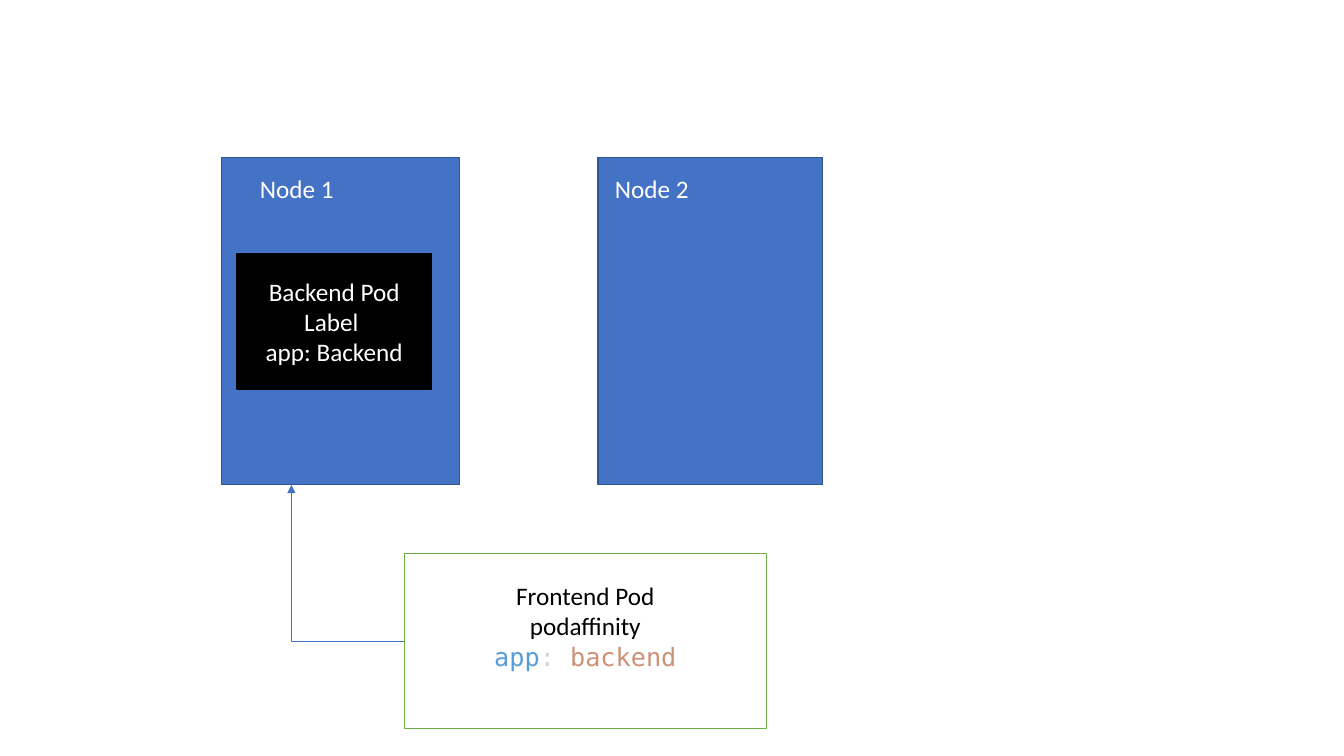
"""Builds a slide showing pod affinity between two cluster nodes."""
from lxml import etree
from pptx import Presentation
from pptx.dml.color import RGBColor
from pptx.enum.shapes import MSO_CONNECTOR, MSO_SHAPE
from pptx.enum.text import MSO_ANCHOR, PP_ALIGN
from pptx.oxml.ns import qn
from pptx.util import Inches, Pt

RECTANGLE = MSO_SHAPE.RECTANGLE
ELBOW = MSO_CONNECTOR.ELBOW
MIDDLE = MSO_ANCHOR.MIDDLE
CENTER = PP_ALIGN.CENTER
LEFT = PP_ALIGN.LEFT

WHITE = RGBColor(0xFF, 0xFF, 0xFF)
BLACK = RGBColor(0x00, 0x00, 0x00)
BLUE = RGBColor(0x44, 0x72, 0xC4)
DARK_BLUE = RGBColor(0x32, 0x54, 0x91)
GREEN = RGBColor(0x70, 0xAD, 0x47)
KEY_BLUE = RGBColor(0x56, 0x9C, 0xD6)
COLON_GRAY = RGBColor(0xD4, 0xD4, 0xD4)
VALUE_ORANGE = RGBColor(0xCE, 0x91, 0x78)

BODY_FONT = "Calibri"
CODE_FONT = "DejaVu Sans Mono"


def write_lines(frame, lines, alignment):
    """Write lines, each a list of (text, font, colour) runs."""
    frame.word_wrap = True
    for index, line in enumerate(lines):
        para = frame.paragraphs[0] if index == 0 else frame.add_paragraph()
        para.alignment = alignment
        for text, font, color in line:
            span = para.add_run()
            span.text = text
            span.font.name = font
            span.font.size = Pt(18)
            span.font.color.rgb = color


def add_rectangle(page, left, top, width, height, fill, outline):
    """Add a flat rectangle with a thin outline."""
    box = page.shapes.add_shape(
        RECTANGLE, Inches(left), Inches(top), Inches(width), Inches(height))
    box.shadow.inherit = False
    box.fill.solid()
    box.fill.fore_color.rgb = fill
    box.line.color.rgb = outline
    box.line.width = Pt(1)
    return box


def add_node(page, left, top, width, height, name, indent):
    """Add a node with its name near the top left corner."""
    add_rectangle(page, left, top, width, height, BLUE, DARK_BLUE)
    label = page.shapes.add_textbox(
        Inches(left + indent), Inches(top + 0.11), Inches(1.11), Inches(0.4))
    write_lines(label.text_frame, [[(name, BODY_FONT, WHITE)]], LEFT)


def add_pod(page, left, top, width, height, fill, outline, lines):
    """Add a pod with centred lines of text."""
    pod = add_rectangle(page, left, top, width, height, fill, outline)
    pod.text_frame.vertical_anchor = MIDDLE
    write_lines(pod.text_frame, lines, CENTER)
    return pod


def add_affinity_arrow(page, pod, tip_left, tip_top):
    """Add a one-bend arrow from the left side of a pod up to a tip."""
    arrow = page.shapes.add_connector(
        ELBOW, pod.left, pod.top + pod.height // 2,
        Inches(tip_left), Inches(tip_top))
    arrow.begin_connect(pod, 1)
    arrow.line.color.rgb = BLUE
    arrow.line.width = Pt(0.5)
    properties = arrow.element.spPr
    properties.find(qn("a:prstGeom")).set("prst", "bentConnector2")
    etree.SubElement(properties.find(qn("a:ln")), qn("a:tailEnd"), type="triangle")
    etree.SubElement(properties, qn("a:effectLst"))


def build_affinity_page(page):
    """Place the nodes, the pods and the affinity arrow."""
    node_top, node_height = 1.56, 3.25
    add_node(page, 2.2, node_top, 2.36, node_height, "Node 1", 0.28)
    add_node(page, 5.93, node_top, 2.23, node_height, "Node 2", 0.07)
    backend_lines = [[(text, BODY_FONT, WHITE)]
                     for text in ("Backend Pod", "Label ", "app: Backend")]
    add_pod(page, 2.35, 2.52, 1.93, 1.34, BLACK, BLACK, backend_lines)
    frontend_lines = [
        [("Frontend Pod", BODY_FONT, BLACK)],
        [("podaffinity", BODY_FONT, BLACK)],
        [("app", CODE_FONT, KEY_BLUE), (": ", CODE_FONT, COLON_GRAY),
         ("backend", CODE_FONT, VALUE_ORANGE)],
    ]
    frontend = add_pod(page, 4.01, 5.49, 3.59, 1.74, WHITE, GREEN, frontend_lines)
    frontend.text_frame.margin_bottom = Inches(0.35)
    add_affinity_arrow(page, frontend, 2.89, node_top + node_height)


def main():
    """Build and save the deck."""
    deck = Presentation()
    deck.slide_width = Inches(13.33)
    deck.slide_height = Inches(7.5)
    build_affinity_page(deck.slides.add_slide(deck.slide_layouts[6]))
    deck.save("out.pptx")


if __name__ == "__main__":
    main()
